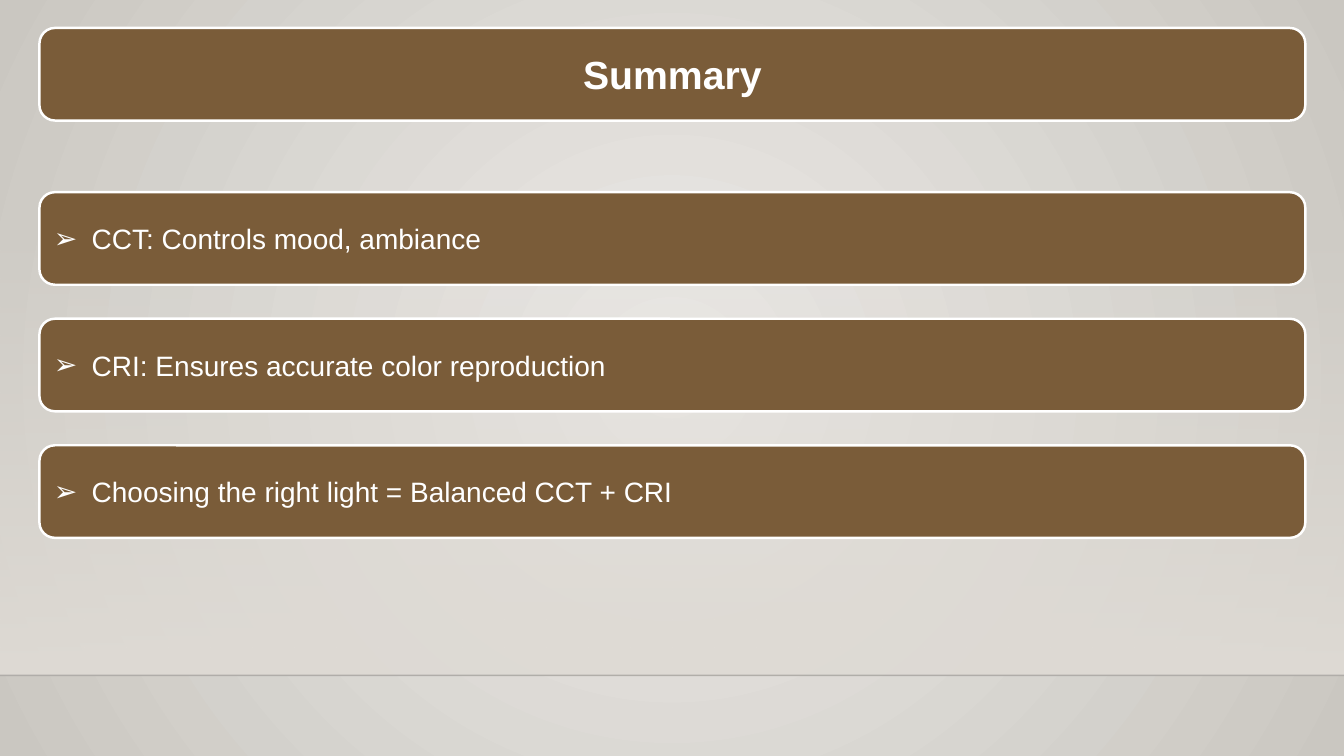
from lxml import etree
from pptx import Presentation
from pptx.dml.color import RGBColor
from pptx.enum.shapes import MSO_CONNECTOR, MSO_SHAPE
from pptx.enum.text import MSO_ANCHOR, PP_ALIGN
from pptx.oxml.ns import qn
from pptx.util import Pt

BROWN = RGBColor(0x7A, 0x5C, 0x39)
WHITE = RGBColor(0xFF, 0xFF, 0xFF)
BLACK = RGBColor(0x00, 0x00, 0x01)
SAND = RGBColor(0xDF, 0xDB, 0xD5)
BG_CENTER = RGBColor(0xEC, 0xEA, 0xE7)
BG_EDGE = RGBColor(0xCA, 0xC7, 0xC1)

SLIDE_W, SLIDE_H = 960, 540
BAND_TOP, BAND_BOTTOM = 159.1, 482.4
BAR_LEFT, BAR_W, BAR_H = 28.2, 904.2, 66.1
TITLE_TOP = 20
POINTS_TOP, POINTS_STEP = 137.3, 90.4
INDENT = 27

POINTS = [
    "CCT: Controls mood, ambiance",
    "CRI: Ensures accurate color reproduction",
    "Choosing the right light = Balanced CCT + CRI",
]


def add_sub(parent, tag, **attrs):
    """Append a child element with the given attributes."""
    return etree.SubElement(parent, qn(tag), attrs)


def add_bar(top, text, size, bold=False):
    """Add a rounded brown bar and return its paragraph, ready to align."""
    bar = s.shapes.add_shape(MSO_SHAPE.ROUNDED_RECTANGLE, Pt(BAR_LEFT), Pt(top),
                             Pt(BAR_W), Pt(BAR_H))
    bar.shadow.inherit = False
    bar.fill.solid()
    bar.fill.fore_color.rgb = BROWN
    bar.line.color.rgb = WHITE
    bar.line.width = Pt(1.75)
    tf = bar.text_frame
    tf.word_wrap = True
    tf.vertical_anchor = MSO_ANCHOR.MIDDLE
    p = tf.paragraphs[0]
    r = p.add_run()
    r.text = text
    for name, value in {"name": "Arial", "size": Pt(size), "bold": bold}.items():
        setattr(r.font, name, value)
    r.font.color.rgb = WHITE
    return p


prs = Presentation()
prs.slide_width, prs.slide_height = Pt(SLIDE_W), Pt(SLIDE_H)
s = prs.slides.add_slide(prs.slide_layouts[6])

# Radial background
fill = s.background.fill
fill.gradient()
for stop, color in zip(fill.gradient_stops, (BG_CENTER, BG_EDGE)):
    stop.color.rgb = color
grad = s.element.find(".//" + qn("a:gradFill"))
grad.remove(grad.find(qn("a:lin")))
circle = add_sub(grad, "a:path", path="circle")
add_sub(circle, "a:fillToRect", l="50000", t="50000", r="50000", b="50000")

# Band that fades in towards the floor line
band = s.shapes.add_shape(MSO_SHAPE.RECTANGLE, 0, Pt(BAND_TOP), Pt(SLIDE_W),
                          Pt(BAND_BOTTOM - BAND_TOP))
band.shadow.inherit = False
band.line.fill.background()
band.fill.gradient()
band.fill.gradient_angle = 270
for stop in band.fill.gradient_stops:
    stop.color.rgb = SAND
add_sub(band.element.find(".//" + qn("a:srgbClr")), "a:alpha", val="0")

floor = s.shapes.add_connector(MSO_CONNECTOR.STRAIGHT, 0, Pt(BAND_BOTTOM),
                               Pt(SLIDE_W), Pt(BAND_BOTTOM))
floor.line.color.rgb = BLACK
floor.line.width = Pt(1)
add_sub(floor.element.find(".//" + qn("a:srgbClr")), "a:alpha", val="20000")
add_sub(floor.element.spPr, "a:effectLst")

# Title and summary points
add_bar(TITLE_TOP, "Summary", 28, bold=True).alignment = PP_ALIGN.CENTER

for i, point in enumerate(POINTS):
    p = add_bar(POINTS_TOP + i * POINTS_STEP, point, 20)
    p.alignment = PP_ALIGN.LEFT
    pPr = p._p.get_or_add_pPr()
    pPr.set("marL", str(Pt(INDENT)))
    pPr.set("indent", str(-Pt(INDENT)))
    add_sub(pPr, "a:buFont", typeface="Arial")
    add_sub(pPr, "a:buChar", char="➢")

prs.save("out.pptx")
